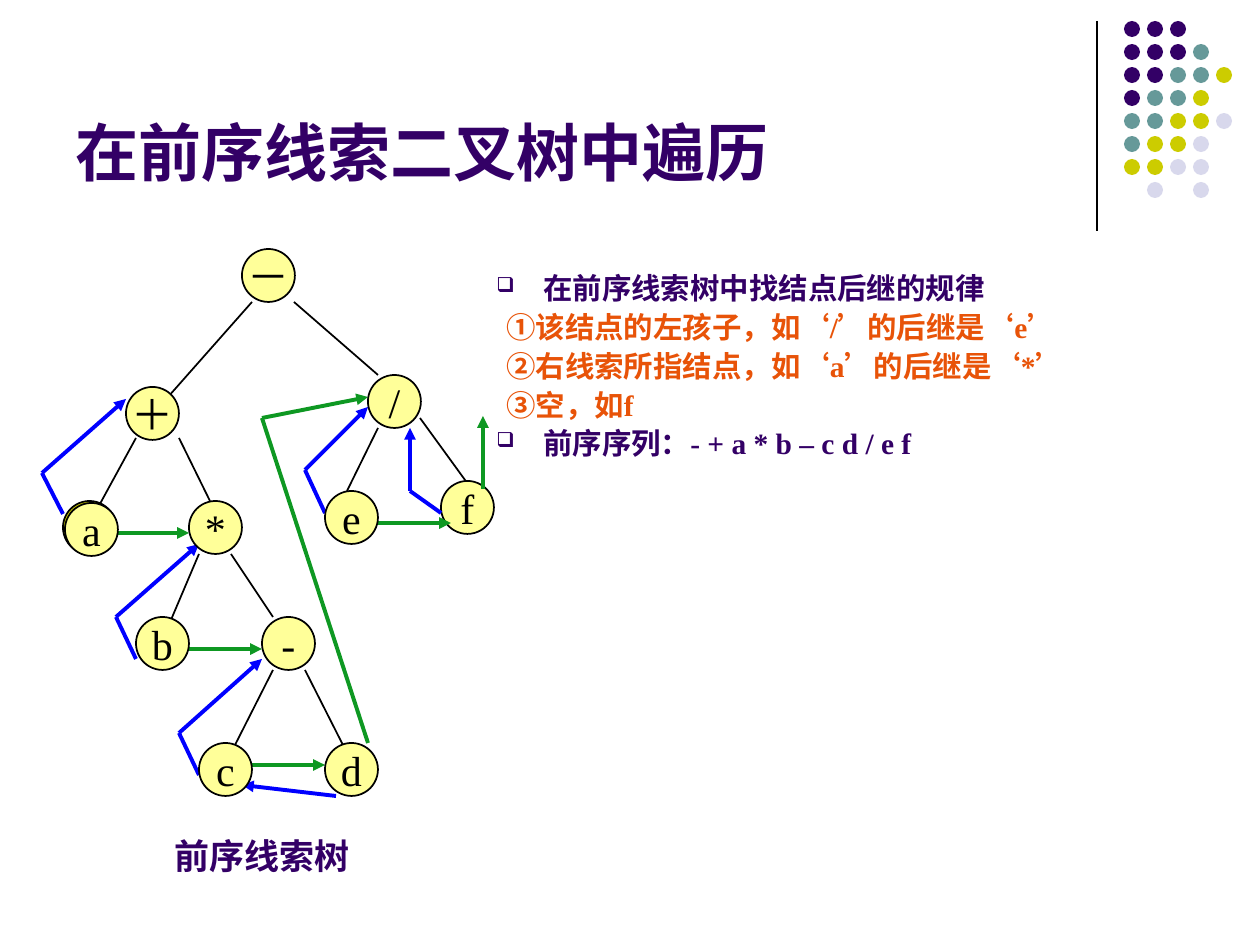
"""Builds the slide on traversing a preorder threaded binary tree."""
import dataclasses
import itertools

import lxml.etree
import pptx
import pptx.dml.color
import pptx.enum.shapes
import pptx.enum.text
import pptx.oxml.ns
import pptx.util


@dataclasses.dataclass(frozen=True)
class Theme:
    purple: str = "330066"
    teal: str = "669999"
    olive: str = "CCCC00"
    lilac: str = "D8D8EC"
    orange: str = "E85308"
    black: str = "000000"
    blue: str = "0000FF"
    green: str = "0E9822"
    yellow: str = "FFFF99"
    heading_font: str = "Arial"
    body_font: str = "Times New Roman"
    title_size: float = 36
    node_size: float = 24
    caption_size: float = 20
    body_size: float = 16.8


theme = Theme()
rgb = pptx.dml.color.RGBColor.from_string
align = pptx.enum.text.PP_ALIGN
anchor = pptx.enum.text.MSO_ANCHOR
oval = pptx.enum.shapes.MSO_SHAPE.OVAL
straight = pptx.enum.shapes.MSO_CONNECTOR.STRAIGHT
qn = pptx.oxml.ns.qn


def px(*lengths):
    return [round(length * 914400 / 126) for length in lengths]


def write(para, text, size, color=theme.purple, font=theme.body_font, bold=True,
          alignment=align.CENTER):
    para.alignment = alignment
    span = para.add_run()
    span.text = text
    span.font.size = pptx.util.Pt(size)
    span.font.name = font
    span.font.bold = bold
    span.font.color.rgb = rgb(color)


deck = pptx.Presentation()
deck.slide_width, deck.slide_height = px(1260, 945)
page = deck.slides.add_slide(deck.slide_layouts[5])
shapes = page.shapes

dot_colors = {"P": theme.purple, "T": theme.teal, "O": theme.olive, "L": theme.lilac}
dot_rows = ["PPP", "PPPT", "PPTTO", "PTTO", "TTOOL", "TOOL", "OOLL", " L L"]
for row, letters in enumerate(dot_rows):
    for column, letter in enumerate(letters):
        if letter in dot_colors:
            dot = shapes.add_shape(oval, *px(1124 + 23 * column, 21 + 23 * row, 16, 16))
            dot.shadow.inherit = False
            dot.fill.solid()
            dot.fill.fore_color.rgb = rgb(dot_colors[letter])
            dot.line.fill.background()

title = shapes.title
title.left, title.top, title.width, title.height = px(63, 16, 1040, 179)
title.text_frame.vertical_anchor = anchor.BOTTOM
write(title.text_frame.paragraphs[0], "在前序线索二叉树中遍历", theme.title_size,
      font=theme.heading_font, alignment=align.LEFT)

rules = shapes.add_textbox(*px(472, 271, 713, 315))
rules.text_frame.word_wrap = True
rule_lines = [
    (True, "在前序线索树中找结点后继的规律"),
    (False, "①该结点的左孩子，如‘/’的后继是‘e’"),
    (False, "②右线索所指结点，如‘a’的后继是‘*’"),
    (False, "③空，如f"),
    (True, "前序序列：- + a * b – c d / e f"),
]
for index, (bulleted, text) in enumerate(rule_lines):
    para = rules.text_frame.paragraphs[0] if index == 0 else rules.text_frame.add_paragraph()
    para.line_spacing = 0.8
    para.space_before = pptx.util.Pt(6 if index else 0)
    margin, indent = px(59, -47) if bulleted else px(22, 0)
    properties = para._p.get_or_add_pPr()
    properties.set("marL", str(margin))
    properties.set("indent", str(indent))
    if bulleted:
        bullet_color = lxml.etree.SubElement(properties, qn("a:buClr"))
        lxml.etree.SubElement(bullet_color, qn("a:srgbClr"), val=theme.purple)
        lxml.etree.SubElement(properties, qn("a:buSzPct"), val="70000")
        lxml.etree.SubElement(properties, qn("a:buChar"), char="❑")
    write(para, text, theme.body_size, color=theme.purple if bulleted else theme.orange,
          alignment=align.JUSTIFY)

divider = [[(1097, 21), (1097, 231)]]
branches = [
    [(252, 302), (168, 397)],
    [(136, 438), (95, 513)],
    [(179, 438), (210, 501)],
    [(199, 554), (168, 627)],
    [(231, 554), (273, 617)],
    [(305, 670), (347, 753)],
    [(273, 670), (231, 753)],
    [(294, 302), (378, 375)],
    [(378, 428), (347, 491)],
    [(420, 418), (473, 491)],
]
right_threads = [
    [(116, 533), (189, 533)],
    [(189, 649), (262, 649)],
    [(252, 765), (325, 765)],
    [(378, 523), (451, 523)],
    [(368, 743), (262, 418), (368, 397)],
    [(483, 489), (483, 416)],
]
left_threads = [
    [(136, 659), (116, 617), (199, 544)],
    [(199, 775), (179, 733), (262, 659)],
    [(325, 513), (305, 470), (368, 407)],
    [(441, 513), (410, 491), (410, 428)],
    [(336, 796), (242, 785)],
    [(63, 514), (42, 473), (126, 399)],
]
back_nodes = [("a", 63, 501, theme.olive), ("f", 441, 481, theme.yellow)]
front_nodes = [
    (label, left, top, theme.yellow)
    for label, left, top in [
        ("－", 242, 249), ("＋", 126, 387), ("*", 189, 501), ("a", 65, 503),
        ("/", 368, 375), ("b", 136, 617), ("-", 262, 617), ("d", 325, 743),
        ("c", 199, 743), ("e", 325, 491),
    ]
]
layers = [
    ([(divider, theme.black, 0.75, False), (branches, theme.black, 1, False)], back_nodes),
    ([(right_threads, theme.green, 2.25, True), (left_threads, theme.blue, 2.25, True)],
     front_nodes),
]
for line_groups, nodes in layers:
    for routes, color, weight, arrow in line_groups:
        for route in routes:
            for start, end in itertools.pairwise(route):
                link = shapes.add_connector(straight, *px(*start, *end))
                link.line.color.rgb = rgb(color)
                link.line.width = pptx.util.Pt(weight)
                properties = link.element.spPr
                if arrow and end == route[-1]:
                    outline = properties.find(qn("a:ln"))
                    lxml.etree.SubElement(outline, qn("a:tailEnd"), type="triangle")
                lxml.etree.SubElement(properties, qn("a:effectLst"))
    for label, left, top, color in nodes:
        node = shapes.add_shape(oval, *px(left, top, 53, 53))
        node.shadow.inherit = False
        node.fill.solid()
        node.fill.fore_color.rgb = rgb(color)
        node.line.color.rgb = rgb(theme.black)
        node.line.width = pptx.util.Pt(1)
        node.text_frame.word_wrap = False
        node.text_frame.vertical_anchor = anchor.MIDDLE
        write(node.text_frame.paragraphs[0], label, theme.node_size, color=theme.black,
              bold=False)

caption = shapes.add_textbox(*px(157, 828, 210, 55))
caption.text_frame.word_wrap = True
write(caption.text_frame.paragraphs[0], "前序线索树", theme.caption_size)

deck.save("out.pptx")
